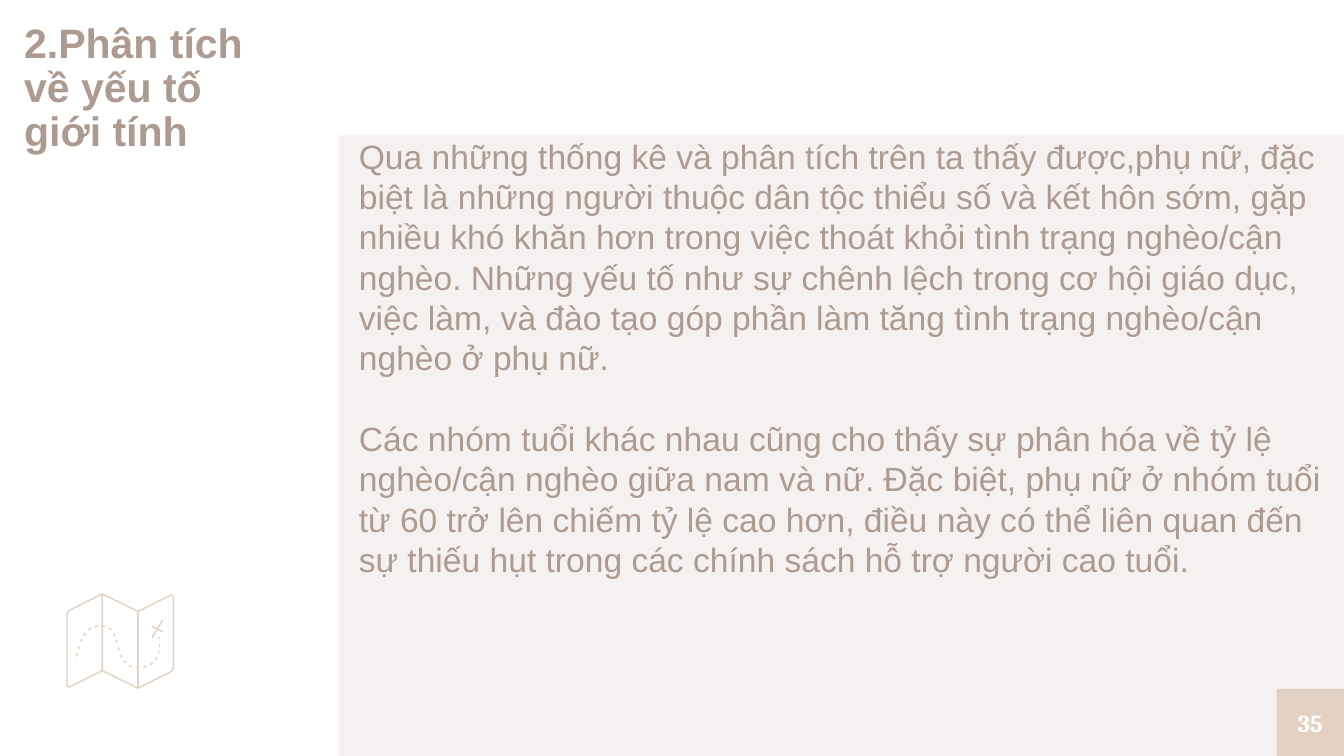
from dataclasses import dataclass

from pptx import Presentation
from pptx import util as u
from pptx.dml.color import RGBColor
from pptx.enum import shapes, text

TITLE = "2.Phân tích về yếu tố giới tính"
FINDINGS = (
    "Qua những thống kê và phân tích trên ta thấy được,phụ nữ, đặc biệt là những "
    "người thuộc dân tộc thiểu số và kết hôn sớm, gặp nhiều khó khăn hơn trong việc "
    "thoát khỏi tình trạng nghèo/cận nghèo. Những yếu tố như sự chênh lệch trong cơ "
    "hội giáo dục, việc làm, và đào tạo góp phần làm tăng tình trạng nghèo/cận nghèo "
    "ở phụ nữ.",
    "Các nhóm tuổi khác nhau cũng cho thấy sự phân hóa về tỷ lệ nghèo/cận nghèo giữa "
    "nam và nữ. Đặc biệt, phụ nữ ở nhóm tuổi từ 60 trở lên chiếm tỷ lệ cao hơn, điều "
    "này có thể liên quan đến sự thiếu hụt trong các chính sách hỗ trợ người cao tuổi.",
)

# Map icon, in points on the page
MAP_FOLDS = (
    [(73.9, 327.6), (54.8, 318.2), (54.8, 359.3), (73.9, 368.7)],
    [(54.8, 318.2), (37.2, 327), (36.2, 328.2), (35.9, 329.6), (35.9, 367.2),
     (36.3, 368.1), (37.4, 368), (54.8, 359.3)],
    [(73.9, 327.6), (73.9, 368.7), (91.4, 360), (92.6, 358.8), (92.9, 357.6),
     (92.9, 319.8), (92.5, 318.9), (91.4, 318.9)],
)
MAP_CROSS = (
    [(81.4, 335.5), (87.1, 338.6)],
    [(87.1, 332.2), (81.4, 341.8)],
)
MAP_TRAIL = (
    [(41, 354.2), (41, 353.4)],
    [(41.2, 351.4), (41.6, 349.9)],
    [(42, 347.6), (42.5, 346.3)],
    [(43.2, 343.7), (43.9, 342.4)],
    [(44.8, 340.4), (45.8, 339.1)],
    [(47.3, 337.5), (48.7, 336.4)],
    [(50.9, 335.6), (52.4, 335.3)],
    [(54.7, 335.2), (56.2, 335.5)],
    [(58.4, 336.4), (59.7, 337.4)],
    [(60.9, 339.3), (61.5, 340.7)],
    [(62.3, 342.8), (62.7, 344.2)],
    [(63.4, 346.8), (63.8, 348.3)],
    [(64.6, 350.8), (65.2, 352.2)],
    [(66.3, 354.1), (67.4, 355.1)],
    [(69.1, 356.5), (70.5, 357.2)],
    [(72.9, 357.7), (74.5, 357.7)],
    [(76.9, 357.4), (78.3, 356.9)],
    [(80.6, 356.1), (81.8, 355.1)],
    [(83.3, 353.5), (84, 352.2)],
    [(84.8, 350), (85.3, 348.6)],
    [(85.5, 346.4), (85.5, 345)],
    [(85.3, 342.2), (85.2, 341.4)],
)


@dataclass(frozen=True)
class Theme:
    ink: str = "AD9B91"
    panel: str = "F5F1F0"
    accent: str = "E2D1C2"
    light: str = "FFFFFF"
    font: str = "Arial"
    number_font: str = "Cambria"
    title_size: float = 22
    body_size: float = 18
    number_size: float = 13
    stroke: float = 0.75


def write(box, paragraphs, *, size, color, font, bold=False, spacing=None, gap=0,
          align=text.PP_ALIGN.LEFT, anchor=text.MSO_ANCHOR.TOP, margins=None):
    """Fill a box with paragraphs; gap is the space between them."""
    frame = box.text_frame
    frame.word_wrap = True
    frame.vertical_anchor = anchor
    if margins is not None:
        frame.margin_left = frame.margin_right = u.Pt(margins)
        frame.margin_top = frame.margin_bottom = u.Pt(margins)
    for index, words in enumerate(paragraphs):
        para = frame.add_paragraph() if index else frame.paragraphs[0]
        para.alignment = align
        if spacing:
            para.line_spacing = spacing
        if index and gap:
            para.space_before = u.Pt(gap)
        span = para.add_run()
        span.text = words
        span.font.size = u.Pt(size)
        span.font.name = font
        span.font.bold = bold
        span.font.color.rgb = RGBColor.from_string(color)


class Page:
    def __init__(self, slide, theme):
        self.slide = slide
        self.theme = theme

    def block(self, left, top, width, height, color):
        box = self.slide.shapes.add_shape(
            shapes.MSO_SHAPE.RECTANGLE, *map(u.Pt, (left, top, width, height)))
        box.shadow.inherit = False
        box.fill.solid()
        box.fill.fore_color.rgb = RGBColor.from_string(color)
        box.line.fill.background()
        return box

    def text_box(self, left, top, width, height):
        return self.slide.shapes.add_textbox(*map(u.Pt, (left, top, width, height)))

    def outline(self, group, points, closed=False):
        corners = [(u.Pt(x), u.Pt(y)) for x, y in points]
        builder = group.shapes.build_freeform(*corners[0])
        builder.add_line_segments(corners[1:], close=closed)
        figure = builder.convert_to_shape()
        figure.shadow.inherit = False
        figure.fill.background()
        figure.line.color.rgb = RGBColor.from_string(self.theme.accent)
        figure.line.width = u.Pt(self.theme.stroke)

    def map_icon(self):
        group = self.slide.shapes.add_group_shape()
        for fold in MAP_FOLDS:
            self.outline(group, fold, closed=True)
        for stroke in MAP_CROSS + MAP_TRAIL:
            self.outline(group, stroke)


def main():
    theme = Theme()
    deck = Presentation()
    deck.slide_width, deck.slide_height = u.Pt(720), u.Pt(405)
    page = Page(deck.slides.add_slide(deck.slide_layouts[6]), theme)

    page.block(181.5, 72.5, 538.5, 332.5, theme.panel)
    write(page.text_box(13, 12.2, 128, 304.5), [TITLE], size=theme.title_size,
          color=theme.ink, font=theme.font, bold=True, spacing=0.9, margins=0)
    page.map_icon()
    write(page.block(684, 369, 36, 36, theme.accent), ["35"], size=theme.number_size,
          color=theme.light, font=theme.number_font, bold=True, margins=0,
          align=text.PP_ALIGN.CENTER, anchor=text.MSO_ANCHOR.MIDDLE)
    write(page.text_box(185.2, 69.1, 540.7, 247), FINDINGS, size=theme.body_size,
          color=theme.ink, font=theme.font, gap=21.6)

    deck.save("out.pptx")


if __name__ == "__main__":
    main()
